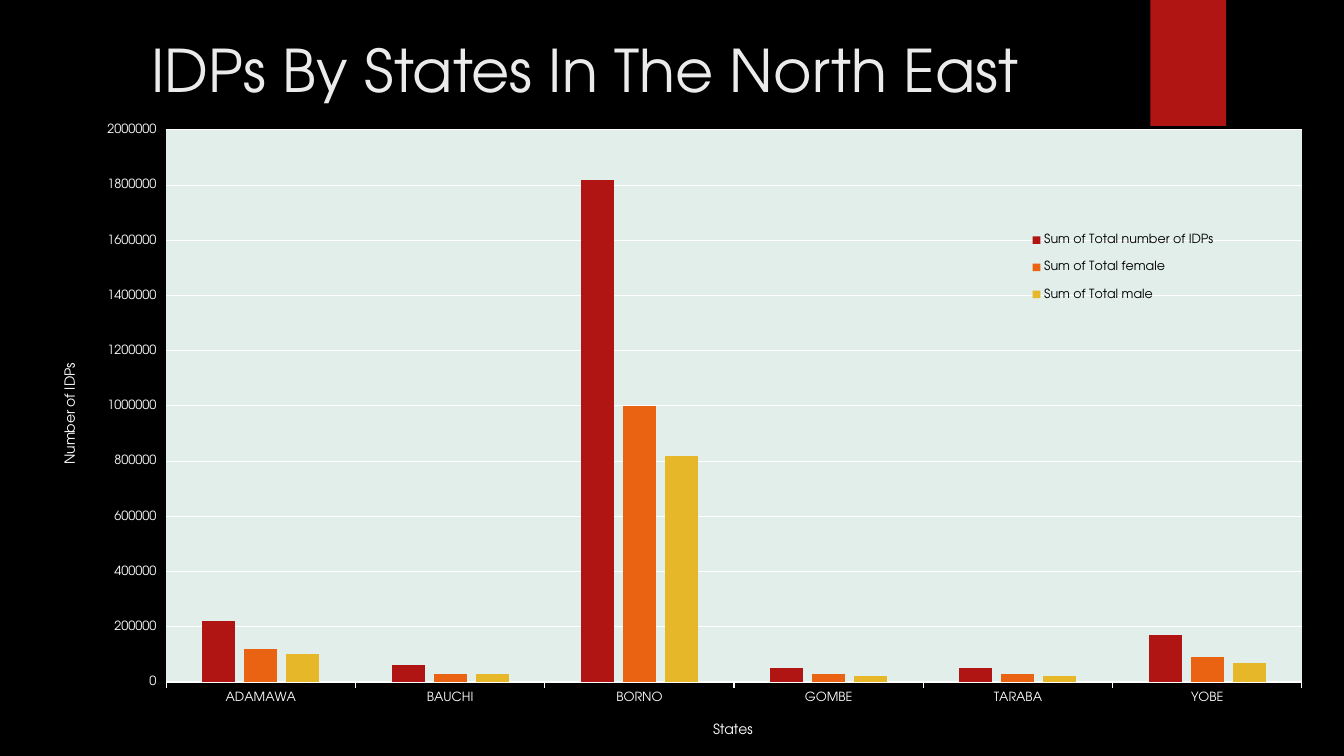
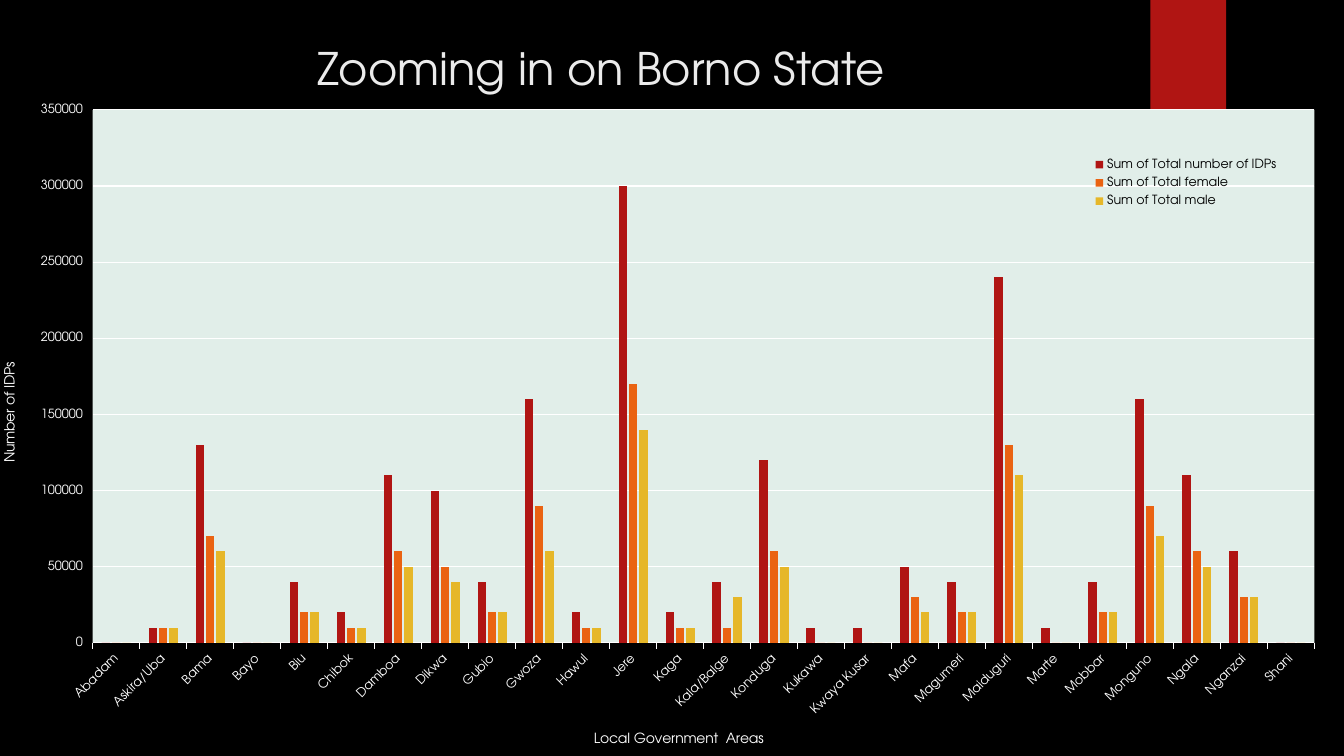
from dataclasses import dataclass
from typing import Any

from lxml import etree
from pptx import Presentation
from pptx.chart.data import CategoryChartData
from pptx.dml.color import RGBColor
from pptx.enum.chart import XL_CHART_TYPE, XL_LEGEND_POSITION, XL_TICK_MARK
from pptx.enum.shapes import MSO_SHAPE
from pptx.enum.text import MSO_ANCHOR, MSO_AUTO_SIZE, PP_ALIGN
from pptx.oxml.ns import qn
from pptx.util import Inches, Pt

COLUMNS = XL_CHART_TYPE.COLUMN_CLUSTERED
RIGHT = XL_LEGEND_POSITION.RIGHT
OUTSIDE = XL_TICK_MARK.OUTSIDE
RECTANGLE = MSO_SHAPE.RECTANGLE
TOP = MSO_ANCHOR.TOP
NO_FIT = MSO_AUTO_SIZE.NONE
CENTER = PP_ALIGN.CENTER

WIDTH, HEIGHT = Inches(13.33), Inches(7.5)
FONT = "TeX Gyre Adventor"
BLACK, WHITE = "000000", "FFFFFF"
RED, ORANGE, YELLOW = "B01513", "EA6312", "E6B729"
TITLE_INK, PLOT_FILL = "EBEBEB", "E1EEE9"
SERIES = (
    ("Sum of Total number of IDPs", RED),
    ("Sum of Total female", ORANGE),
    ("Sum of Total male", YELLOW),
)
VALUE_STEP = 10000
TITLE_FORMAT = {"word_wrap": True, "auto_size": NO_FIT, "vertical_anchor": TOP}
PLOT_FORMAT = {"gap_width": 219, "overlap": -27, "vary_by_categories": False}
LEGEND_FORMAT = {"position": RIGHT, "include_in_layout": False}


@dataclass(frozen=True)
class Frame:
    left: float
    top: float
    width: float = 0
    height: float = 0

    def on_slide(self) -> dict[str, int]:
        return {
            "left": int(WIDTH * self.left / 100),
            "top": int(HEIGHT * self.top / 100),
            "width": int(WIDTH * self.width / 100),
            "height": int(HEIGHT * self.height / 100),
        }


@dataclass(frozen=True)
class ChartSlide:
    title: str
    title_size: int
    title_frame: Frame
    chart_frame: Frame
    plot_frame: Frame
    legend_frame: Frame
    category_title: str
    category_title_frame: Frame
    value_title_frame: Frame
    maximum: int
    major_unit: int
    label_angle: int
    categories: tuple[str, ...]
    values: tuple[tuple[int, ...], ...]


BAND = Frame(85.6, 0, 5.63, 16.67)
SLIDES = (
    ChartSlide(
        title="IDPs By States In The North East",
        title_size=42,
        title_frame=Frame(9.08, 3.73, 68.94, 8),
        chart_frame=Frame(3.53, 13.47, 95.05, 86.53),
        plot_frame=Frame(9.3, 4.3, 88.9, 84.4),
        legend_frame=Frame(76.2, 17.9, 16, 14.8),
        category_title="States",
        category_title_frame=Frame(51.9, 94.5),
        value_title_frame=Frame(1, 39.6),
        maximum=2000000,
        major_unit=200000,
        label_angle=0,
        categories=("ADAMAWA", "BAUCHI", "BORNO", "GOMBE", "TARABA", "YOBE"),
        values=(
            (22, 6, 182, 5, 5, 17),
            (12, 3, 100, 3, 3, 9),
            (10, 3, 82, 2, 2, 7),
        ),
    ),
    ChartSlide(
        title="Zooming in on Borno State",
        title_size=32,
        title_frame=Frame(6.15, 4.67, 77.19, 7.87),
        chart_frame=Frame(0, 12.53, 100, 87.47),
        plot_frame=Frame(6.9, 2.3, 90.9, 80.6),
        legend_frame=Frame(81, 8.7, 14.5, 9.3),
        category_title="Local Government  Areas",
        category_title_frame=Frame(44, 95.9),
        value_title_frame=Frame(0, 40),
        maximum=350000,
        major_unit=50000,
        label_angle=-45,
        categories=(
            "Abadam", "Askira/Uba", "Bama", "Bayo", "Biu", "Chibok", "Damboa",
            "Dikwa", "Gubio", "Gwoza", "Hawul", "Jere", "Kaga", "Kala/Balge",
            "Konduga", "Kukawa", "Kwaya Kusar", "Mafa", "Magumeri", "Maiduguri",
            "Marte", "Mobbar", "Monguno", "Ngala", "Nganzai", "Shani",
        ),
        values=(
            (0, 1, 13, 0, 4, 2, 11, 10, 4, 16, 2, 30, 2,
             4, 12, 1, 1, 5, 4, 24, 1, 4, 16, 11, 6, 0),
            (0, 1, 7, 0, 2, 1, 6, 5, 2, 9, 1, 17, 1,
             1, 6, 0, 0, 3, 2, 13, 0, 2, 9, 6, 3, 0),
            (0, 1, 6, 0, 2, 1, 5, 4, 2, 6, 1, 14, 1,
             3, 5, 0, 0, 2, 2, 11, 0, 2, 7, 5, 3, 0),
        ),
    ),
)


def rgb(value: str) -> RGBColor:
    return RGBColor.from_string(value)


def apply_format(target: Any, values: dict[str, Any]) -> None:
    for name, value in values.items():
        setattr(target, name, value)


def paint(fill: Any, color: str) -> None:
    fill.solid()
    fill.fore_color.rgb = rgb(color)


def style_font(font: Any, size: int, color: str) -> None:
    apply_format(font, {"name": FONT, "size": Pt(size), "bold": False})
    font.color.rgb = rgb(color)


def style_line(line: Any, color: str) -> None:
    line.color.rgb = rgb(color)
    line.width = Pt(0.75)


def place_part(part: Any, index: int, frame: Frame, inner: bool = False) -> None:
    for old in part.findall(qn("c:layout")):
        part.remove(old)
    layout = etree.Element(qn("c:layout"))
    manual = etree.SubElement(layout, qn("c:manualLayout"))
    settings = {"layoutTarget": "inner"} if inner else {}
    settings |= {"xMode": "edge", "yMode": "edge"}
    settings |= {"x": frame.left / 100, "y": frame.top / 100}
    if frame.width:
        settings |= {"w": frame.width / 100, "h": frame.height / 100}
    for name, value in settings.items():
        etree.SubElement(manual, qn(f"c:{name}")).set("val", str(value))
    part.insert(index, layout)


def fill_plot_area(plot_area: Any) -> None:
    props = etree.SubElement(plot_area, qn("c:spPr"))
    fill = etree.SubElement(props, qn("a:solidFill"))
    etree.SubElement(fill, qn("a:srgbClr")).set("val", PLOT_FILL)


def style_axis(axis: Any, title: str, frame: Frame, angle: int) -> None:
    axis.major_tick_mark = OUTSIDE
    style_font(axis.tick_labels.font, 9, WHITE)
    tf = axis.axis_title.text_frame
    r = tf.paragraphs[0].add_run()
    r.text = title
    style_font(r.font, 10, WHITE)
    part = axis.axis_title.element
    body = part.xpath(".//a:bodyPr")[0]
    body.set("rot", str(angle * 60000))
    body.set("vert", "horz")
    place_part(part, 1, frame)


def add_band(s: Any) -> None:
    sp = s.shapes.add_shape(RECTANGLE, **{
        name: value for name, value in BAND.on_slide().items()
    })
    sp.shadow.inherit = False
    paint(sp.fill, RED)
    sp.line.fill.background()


def add_title(s: Any, content: ChartSlide) -> None:
    sp = s.shapes.title
    apply_format(sp, content.title_frame.on_slide())
    tf = sp.text_frame
    apply_format(tf, TITLE_FORMAT)
    p = tf.paragraphs[0]
    p.alignment = CENTER
    r = p.add_run()
    r.text = content.title
    style_font(r.font, content.title_size, TITLE_INK)


def add_column_chart(s: Any, content: ChartSlide) -> None:
    data = CategoryChartData()
    data.categories = content.categories
    for (name, _), row in zip(SERIES, content.values):
        data.add_series(name, [value * VALUE_STEP for value in row])
    frame = content.chart_frame.on_slide()
    chart = s.shapes.add_chart(
        COLUMNS, frame["left"], frame["top"], frame["width"], frame["height"], data
    ).chart
    chart.has_title = False
    style_font(chart.font, 10, WHITE)

    plot = chart.plots[0]
    apply_format(plot, PLOT_FORMAT)
    for series, (_, color) in zip(plot.series, SERIES):
        paint(series.format.fill, color)

    style_axis(chart.category_axis, content.category_title,
               content.category_title_frame, 0)
    style_line(chart.category_axis.format.line, WHITE)
    labels = chart.element.xpath(".//c:catAx/c:txPr/a:bodyPr")[0]
    labels.set("rot", str(content.label_angle * 60000))

    axis = chart.value_axis
    style_axis(axis, "Number of IDPs", content.value_title_frame, -90)
    apply_format(axis, {
        "minimum_scale": 0,
        "maximum_scale": content.maximum,
        "major_unit": content.major_unit,
        "has_major_gridlines": True,
    })
    style_line(axis.major_gridlines.format.line, WHITE)
    axis.format.line.fill.background()

    chart.has_legend = True
    apply_format(chart.legend, LEGEND_FORMAT)
    style_font(chart.legend.font, 9, BLACK)
    place_part(chart.element.xpath(".//c:legend")[0], 1, content.legend_frame)
    plot_area = chart.element.xpath(".//c:plotArea")[0]
    place_part(plot_area, 0, content.plot_frame, inner=True)
    fill_plot_area(plot_area)


def main() -> None:
    prs = Presentation()
    apply_format(prs, {"slide_width": WIDTH, "slide_height": HEIGHT})
    paint(prs.slide_master.background.fill, BLACK)
    title_only = prs.slide_layouts.get_by_name("Title Only")
    for content in SLIDES:
        s = prs.slides.add_slide(title_only)
        add_band(s)
        add_title(s, content)
        add_column_chart(s, content)
    prs.save("out.pptx")


if __name__ == "__main__":
    main()
